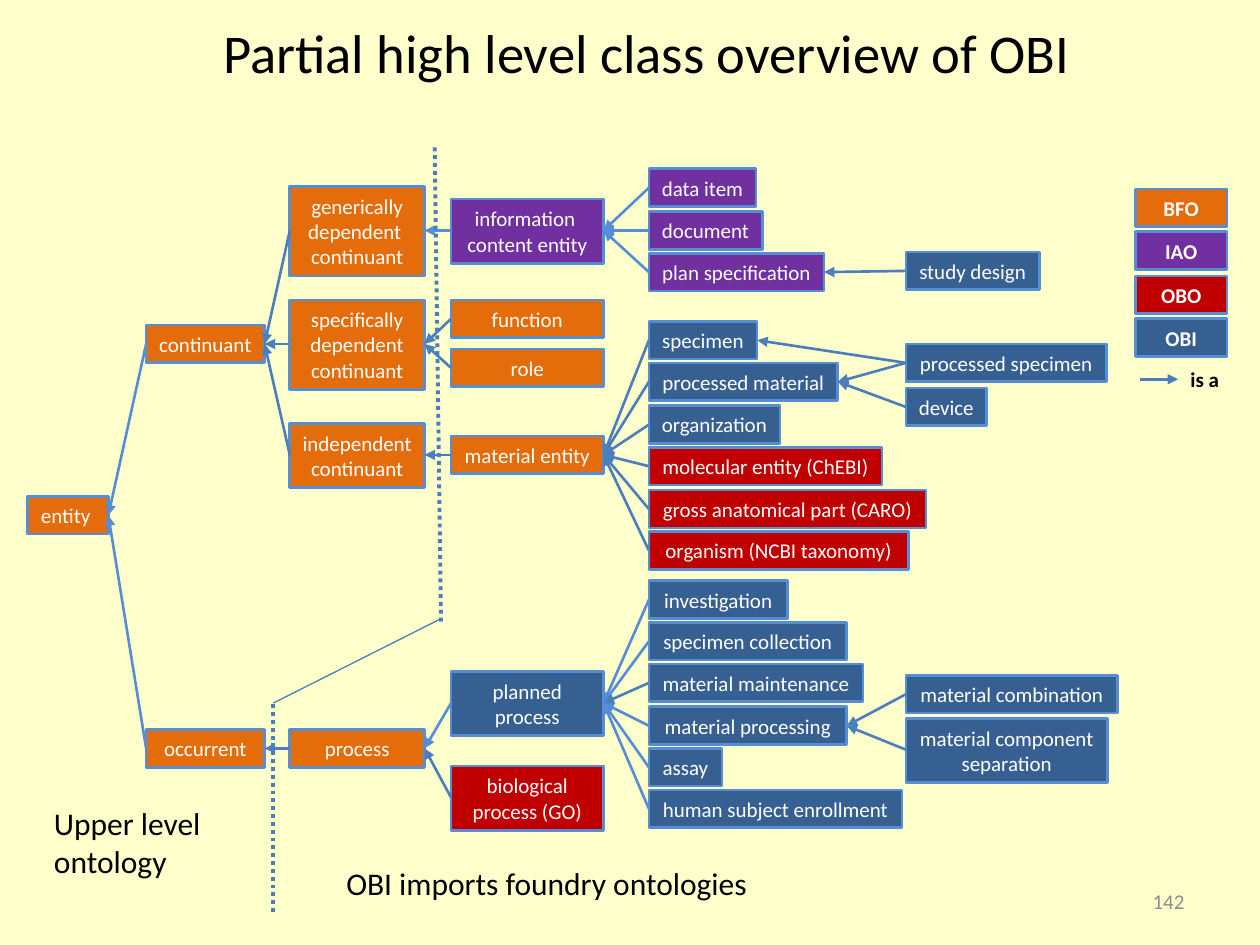
"""Build a slide that shows the upper class hierarchy of the OBI ontology."""
from dataclasses import dataclass

from lxml import etree
from pptx import Presentation
from pptx.dml.color import RGBColor
from pptx.enum.dml import MSO_LINE
from pptx.enum.shapes import MSO_CONNECTOR, MSO_SHAPE
from pptx.enum.text import MSO_ANCHOR, MSO_AUTO_SIZE, PP_ALIGN
from pptx.oxml.ns import qn
from pptx.util import Emu, Pt

EMU_PER_PX = 9144
STRAIGHT = MSO_CONNECTOR.STRAIGHT
RECTANGLE = MSO_SHAPE.RECTANGLE
DOTTED = MSO_LINE.ROUND_DOT
LEFT, CENTER, RIGHT = PP_ALIGN.LEFT, PP_ALIGN.CENTER, PP_ALIGN.RIGHT
TOP, MIDDLE = MSO_ANCHOR.TOP, MSO_ANCHOR.MIDDLE
NO_AUTOFIT = MSO_AUTO_SIZE.NONE
TITLE_ONLY = 5


@dataclass(frozen=True)
class Theme:
    """Colours, font and type sizes of the slide."""
    background: str = "FFFFCC"
    bfo: str = "E46C0A"
    iao: str = "7030A0"
    obo: str = "C00000"
    obi: str = "376092"
    light_line: str = "558ED5"
    dark_line: str = "4B7EBC"
    ink: str = "000000"
    box_ink: str = "FFFFFF"
    number_ink: str = "8C8C8C"
    font: str = "Calibri"
    title_size: float = 31.2
    caption_size: float = 18
    label_size: float = 12


THEME = Theme()
BFO, IAO, OBO, OBI = THEME.bfo, THEME.iao, THEME.obo, THEME.obi


@dataclass(frozen=True)
class ClassBox:
    """An ontology class, filled with the colour of its source ontology."""
    label: str
    left: int
    top: int
    width: int
    fill: str
    bold: bool = False

    @property
    def key(self) -> str:
        """Return the label on one line."""
        return " ".join(self.label.split())

    @property
    def height(self) -> int:
        """Return the height that fits the lines of the label."""
        return {1: 30, 2: 51, 3: 71}[self.label.count("\n") + 1]

    @property
    def middle(self) -> int:
        """Return the vertical centre."""
        return self.top + self.height // 2


@dataclass(frozen=True)
class Family:
    """A parent class and the classes that point to it."""
    parent: str
    children: tuple[str, ...]
    color: str = THEME.dark_line


@dataclass(frozen=True)
class Caption:
    """Free text on the slide."""
    text: str
    left: int
    top: int
    width: int
    height: int
    size: float
    color: str = THEME.ink
    align: PP_ALIGN = LEFT
    anchor: MSO_ANCHOR = TOP
    bold: bool = False


@dataclass(frozen=True)
class Line:
    """A straight line between two points."""
    start: tuple[int, int]
    end: tuple[int, int]
    color: str = THEME.dark_line
    weight: float = 1.5
    arrow: bool = False
    dotted: bool = False


def stack(left: int, first: int, last: int, rows, bold: bool = False) -> list[ClassBox]:
    """Space rows of label, width and fill evenly from the first top to the last."""
    pitch = (last - first) / (len(rows) - 1)
    return [ClassBox(label, left, round(first + i * pitch), width, fill, bold)
            for i, (label, width, fill) in enumerate(rows)]


CLASSES = [
    ClassBox("entity ", 22, 394, 64, BFO),
    ClassBox("continuant", 116, 258, 94, BFO),
    ClassBox("occurrent", 116, 579, 94, BFO),
    ClassBox("generically\ndependent \ncontinuant", 230, 148, 107, BFO),
    ClassBox("specifically\ndependent\ncontinuant", 230, 238, 107, BFO),
    ClassBox("independent\ncontinuant", 230, 336, 107, BFO),
    ClassBox("process", 230, 579, 107, BFO),
    ClassBox("information \ncontent entity", 358, 158, 121, IAO),
    ClassBox("function", 358, 238, 121, BFO),
    ClassBox("role", 358, 277, 121, BFO),
    ClassBox("material entity", 358, 346, 121, BFO),
    ClassBox("planned\nprocess", 358, 533, 121, OBI),
    ClassBox("biological\nprocess (GO)", 358, 608, 121, OBO),
    *stack(515, 134, 201, [
        ("data item", 85, IAO), ("document", 90, IAO), ("plan specification", 139, IAO)]),
    *stack(515, 255, 422, [
        ("specimen", 86, OBI), ("processed material", 150, OBI),
        ("organization", 104, OBI), ("molecular entity (ChEBI)", 185, OBO),
        ("gross anatomical part (CARO)", 220, OBO), ("organism (NCBI taxonomy)", 206, OBO)]),
    *stack(515, 461, 627, [
        ("investigation", 110, OBI), ("specimen collection", 157, OBI),
        ("material maintenance", 170, OBI), ("material processing", 157, OBI),
        ("assay", 58, OBI), ("human subject enrollment", 201, OBI)]),
    ClassBox("study design", 719, 200, 106, OBI),
    ClassBox("processed specimen", 719, 273, 159, OBI),
    ClassBox("device", 719, 308, 64, OBI),
    ClassBox("material combination", 719, 536, 168, OBI),
    ClassBox("material component\nseparation", 719, 570, 160, OBI),
]
LEGEND = stack(901, 150, 253, [
    ("BFO", 73, BFO), ("IAO", 73, IAO), ("OBO", 73, OBO), ("OBI", 73, OBI)], bold=True)
FAMILIES = [
    Family("entity", ("continuant", "occurrent"), THEME.light_line),
    Family("continuant", ("generically dependent continuant",
                          "specifically dependent continuant", "independent continuant")),
    Family("occurrent", ("process",)),
    Family("generically dependent continuant", ("information content entity",),
           THEME.light_line),
    Family("specifically dependent continuant", ("function", "role")),
    Family("independent continuant", ("material entity",)),
    Family("process", ("planned process",), THEME.light_line),
    Family("process", ("biological process (GO)",)),
    Family("information content entity", ("data item", "document", "plan specification"),
           THEME.light_line),
    Family("material entity", (
        "specimen", "processed material", "organization", "molecular entity (ChEBI)",
        "gross anatomical part (CARO)", "organism (NCBI taxonomy)")),
    Family("planned process", (
        "investigation", "specimen collection", "material processing", "assay",
        "human subject enrollment"), THEME.light_line),
    Family("planned process", ("material maintenance",)),
    Family("plan specification", ("study design",)),
    Family("specimen", ("processed specimen",)),
    Family("processed material", ("processed specimen", "device")),
    Family("material processing", ("material combination", "material component separation")),
]
LEGEND_ARROW = Line((905, 301), (935, 301), arrow=True)
DIVIDERS = [
    Line((345, 117), (350, 494), weight=2.25, dotted=True),
    Line((350, 491), (217, 558), weight=0.75),
    Line((217, 559), (217, 724), weight=2.25, dotted=True),
]
TITLE = Caption("Partial high level class overview of OBI", 67, 8, 892, 78,
                THEME.title_size, align=CENTER)
CAPTIONS = [
    Caption("is a", 935, 286, 43, 31, THEME.label_size, bold=True),
    Caption("Upper level ontology", 33, 633, 158, 71, THEME.caption_size),
    Caption("OBI imports foundry ontologies", 265, 681, 636, 40, THEME.caption_size),
    Caption("142", 717, 695, 233, 40, THEME.label_size, THEME.number_ink, RIGHT, MIDDLE),
]


def px(length: int) -> Emu:
    """Turn px into EMU."""
    return Emu(length * EMU_PER_PX)


def write(frame, text: str, size: float, color: str, align: PP_ALIGN, bold: bool) -> None:
    """Fill a text frame with one paragraph per line of text."""
    frame.text = text
    for paragraph in frame.paragraphs:
        paragraph.alignment = align
        font = paragraph.font
        font.name, font.size, font.bold = THEME.font, Pt(size), bold
        font.color.rgb = RGBColor.from_string(color)


def draw_class(slide, box: ClassBox) -> None:
    """Draw a class as a labelled rectangle."""
    rectangle = slide.shapes.add_shape(
        RECTANGLE, px(box.left), px(box.top), px(box.width), px(box.height))
    rectangle.shadow.inherit = False
    rectangle.fill.solid()
    rectangle.fill.fore_color.rgb = RGBColor.from_string(box.fill)
    rectangle.line.color.rgb = RGBColor.from_string(THEME.light_line)
    rectangle.line.width = Pt(1.5)
    rectangle.text_frame.word_wrap = False
    write(rectangle.text_frame, box.label, THEME.label_size, THEME.box_ink, CENTER, box.bold)


def draw_line(slide, line: Line) -> None:
    """Draw a line, with an arrowhead at its end if it has one."""
    connector = slide.shapes.add_connector(STRAIGHT, *map(px, line.start + line.end))
    connector.line.color.rgb = RGBColor.from_string(line.color)
    connector.line.width = Pt(line.weight)
    if line.dotted:
        connector.line.dash_style = DOTTED
    if line.arrow:
        etree.SubElement(connector.line._get_or_add_ln(), qn("a:tailEnd"), type="triangle")
    etree.SubElement(connector._element.spPr, qn("a:effectLst"))


def draw_family(slide, family: Family, classes: dict[str, ClassBox]) -> None:
    """Draw an arrow from each child to the parent."""
    parent = classes[family.parent]
    for name in family.children:
        child = classes[name]
        draw_line(slide, Line((child.left, child.middle),
                              (parent.left + parent.width, parent.middle),
                              family.color, arrow=True))


def place_caption(holder, caption: Caption) -> None:
    """Move a text holder into place and write the caption in it."""
    holder.left, holder.top = px(caption.left), px(caption.top)
    holder.width, holder.height = px(caption.width), px(caption.height)
    frame = holder.text_frame
    frame.word_wrap, frame.auto_size = True, NO_AUTOFIT
    frame.vertical_anchor = caption.anchor
    write(frame, caption.text, caption.size, caption.color, caption.align, caption.bold)


def main() -> None:
    """Build and save the slide."""
    deck = Presentation()
    deck.slide_width, deck.slide_height = px(1000), px(750)
    slide = deck.slides.add_slide(deck.slide_layouts[TITLE_ONLY])
    slide.background.fill.solid()
    slide.background.fill.fore_color.rgb = RGBColor.from_string(THEME.background)
    place_caption(slide.shapes.title, TITLE)
    slide.shapes.title.text_frame.margin_top = px(7)
    for box in CLASSES + LEGEND:
        draw_class(slide, box)
    classes = {box.key: box for box in CLASSES}
    for family in FAMILIES:
        draw_family(slide, family, classes)
    for line in [LEGEND_ARROW, *DIVIDERS]:
        draw_line(slide, line)
    for caption in CAPTIONS:
        place_caption(slide.shapes.add_textbox(0, 0, 0, 0), caption)
    deck.save("out.pptx")


if __name__ == "__main__":
    main()
